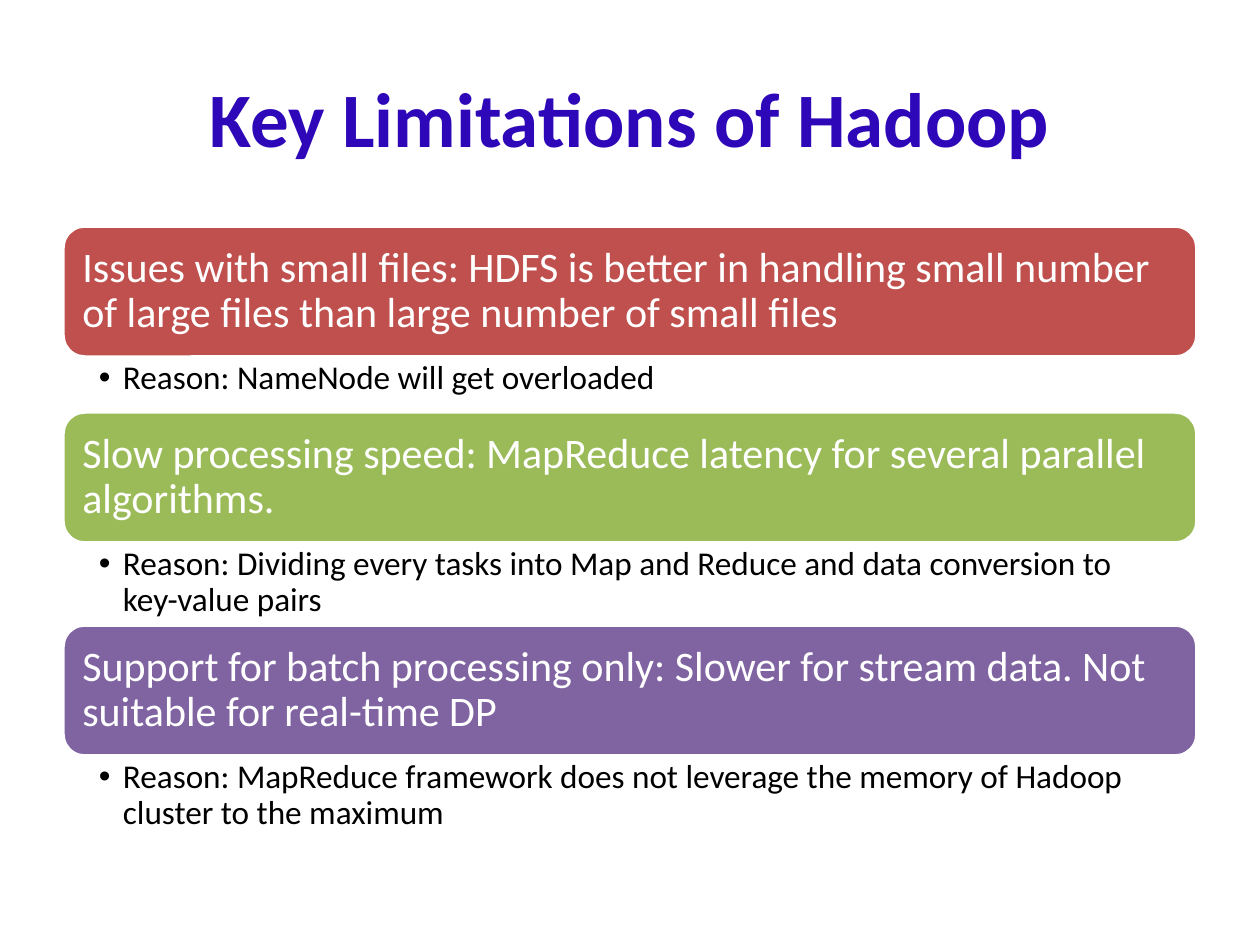
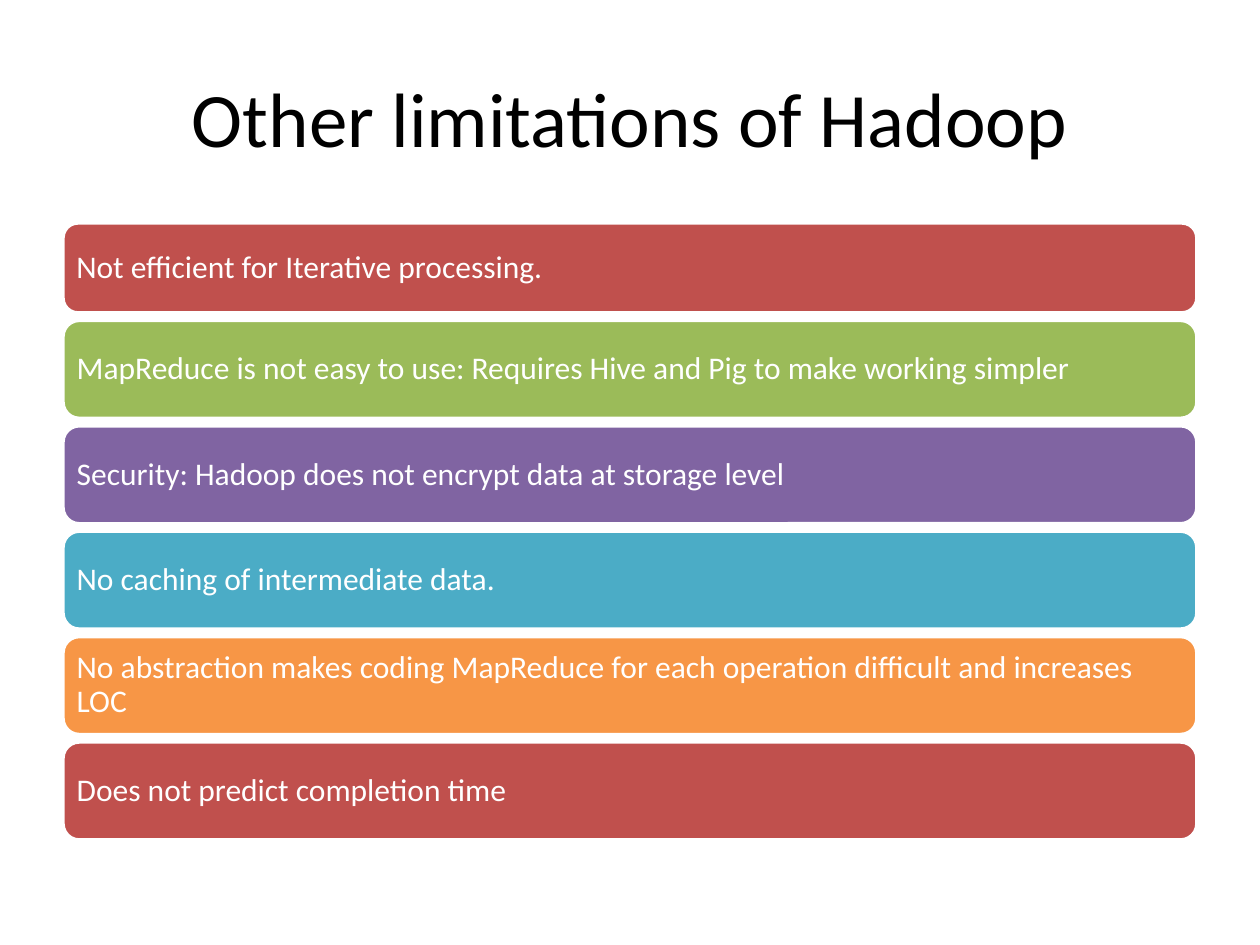
from lxml import etree
from pptx import Presentation
from pptx import util as u
from pptx.dml.color import RGBColor
from pptx.enum import shapes, text
from pptx.oxml.ns import qn

# Content: title, then bars (with reasons on the first slide)
KEY_TITLE = "Key Limitations of Hadoop"
KEY_LIMITS = [
    ("Issues with small files: HDFS is better in handling small number of large files "
     "than large number of small files",
     "Reason: NameNode will get overloaded", 55),
    ("Slow processing speed: MapReduce latency for several parallel algorithms.",
     "Reason: Dividing every tasks into Map and Reduce and data conversion to key-value pairs", 82),
    ("Support for batch processing only: Slower for stream data. Not suitable for real-time DP",
     "Reason: MapReduce framework does not leverage the memory of Hadoop cluster to the maximum", 82),
]
OTHER_TITLE = "Other limitations of Hadoop"
OTHER_LIMITS = [
    ("Not efficient for Iterative processing.", 90),
    ("MapReduce is not easy to use: Requires Hive and Pig to make working simpler", 98),
    ("Security: Hadoop does not encrypt data at storage level", 98),
    ("No caching of intermediate data.", 98),
    ("No abstraction makes coding MapReduce for each operation difficult and increases LOC", 98),
    ("Does not predict completion time", 98),
]

# Shared look
WHITE, BLACK = RGBColor(255, 255, 255), RGBColor(0, 0, 0)
TITLE_BLUE = RGBColor(0x2E, 0x08, 0xB8)
BAR_COLORS = [RGBColor.from_string(c) for c in
              ("C0504D", "9BBB59", "8064A2", "4BACC6", "F79646")]
FONT = "Calibri"
LEFT, WIDTH = 63, 1134
KEY_TOP, KEY_BAR_H = 226, 131
OTHER_TOP, OTHER_BOTTOM = 223, 840
BULLET_INDENT = 24


def px(n):
    return u.Emu(round(n * 914400 / 126))


def write(tf, words, size, color, bold=False):
    p = tf.paragraphs[0]
    r = p.add_run()
    r.text = words
    for name, value in dict(name=FONT, size=u.Pt(size), bold=bold).items():
        setattr(r.font, name, value)
    r.font.color.rgb = color
    return p


def format_frame(tf, anchor, left, top, right, bottom):
    margins = dict(margin_left=left, margin_top=top, margin_right=right, margin_bottom=bottom)
    for name, value in margins.items():
        setattr(tf, name, px(value))
    tf.word_wrap = True
    tf.vertical_anchor = anchor


def add_titled_slide(prs, title, color, bold=False):
    s = prs.slides.add_slide(prs.slide_layouts[5])
    sp = s.shapes.title
    sp.left, sp.top, sp.width, sp.height = px(LEFT), px(38), px(WIDTH), px(157)
    sp.text_frame.vertical_anchor = text.MSO_ANCHOR.MIDDLE
    write(sp.text_frame, title, 44, color, bold).alignment = text.PP_ALIGN.CENTER
    return s


def add_bar(s, index, top, height, words, size, inset):
    sp = s.shapes.add_shape(shapes.MSO_SHAPE.ROUNDED_RECTANGLE,
                            px(LEFT), px(top), px(WIDTH), px(height))
    sp.shadow.inherit = False
    sp.fill.solid()
    sp.fill.fore_color.rgb = BAR_COLORS[index % len(BAR_COLORS)]
    sp.line.color.rgb = WHITE
    sp.line.width = u.Pt(2)
    format_frame(sp.text_frame, text.MSO_ANCHOR.MIDDLE, *[inset] * 4)
    p = write(sp.text_frame, words, size, WHITE)
    p.alignment = text.PP_ALIGN.LEFT
    p.line_spacing = 0.9


def add_reason(s, top, height, words):
    tf = s.shapes.add_textbox(px(LEFT), px(top), px(WIDTH), px(height)).text_frame
    format_frame(tf, text.MSO_ANCHOR.TOP, 36, 4, 24, 4)
    p = write(tf, words, 19, BLACK)
    p.level = 1
    pPr = p._p.get_or_add_pPr()
    pPr.set("marL", str(px(BULLET_INDENT)))
    pPr.set("indent", str(-px(BULLET_INDENT)))
    etree.SubElement(pPr, qn("a:buFont"), typeface="Arial")
    etree.SubElement(pPr, qn("a:buChar"), char="•")
    p.line_spacing = 0.9


def main():
    prs = Presentation()
    prs.slide_width, prs.slide_height = u.Inches(10), u.Inches(7.5)

    # Key limitations: each bar followed by its reason
    s = add_titled_slide(prs, KEY_TITLE, TITLE_BLUE, bold=True)
    top = KEY_TOP
    for i, (limit, reason, reason_h) in enumerate(KEY_LIMITS):
        add_bar(s, i, top, KEY_BAR_H, limit, 24, 13)
        add_reason(s, top + KEY_BAR_H, reason_h, reason)
        top += KEY_BAR_H + reason_h

    # Other limitations: bars spread with equal gaps
    s = add_titled_slide(prs, OTHER_TITLE, BLACK)
    used = sum(h for _, h in OTHER_LIMITS)
    gap = (OTHER_BOTTOM - OTHER_TOP - used) / (len(OTHER_LIMITS) - 1)
    top = OTHER_TOP
    for i, (limit, height) in enumerate(OTHER_LIMITS):
        add_bar(s, i, top, height, limit, 18, 9)
        top += height + gap

    prs.save("out.pptx")


if __name__ == "__main__":
    main()
